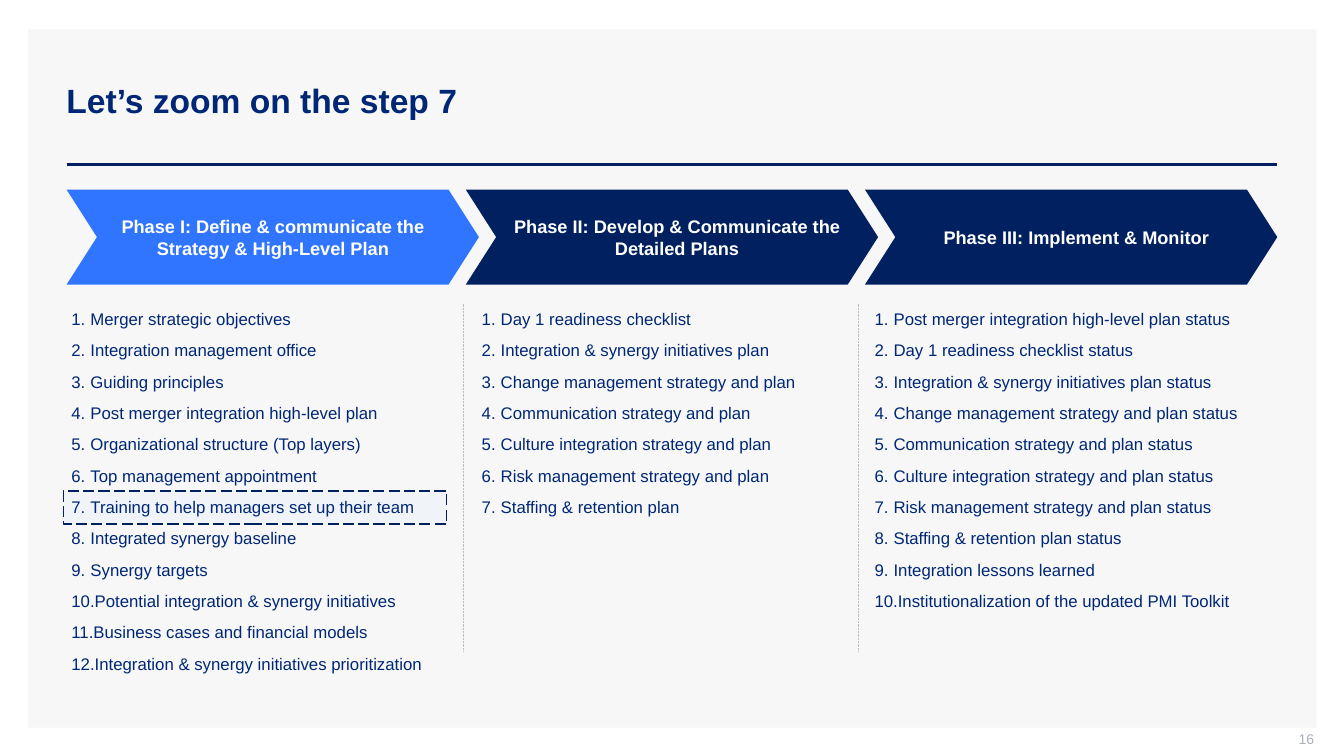
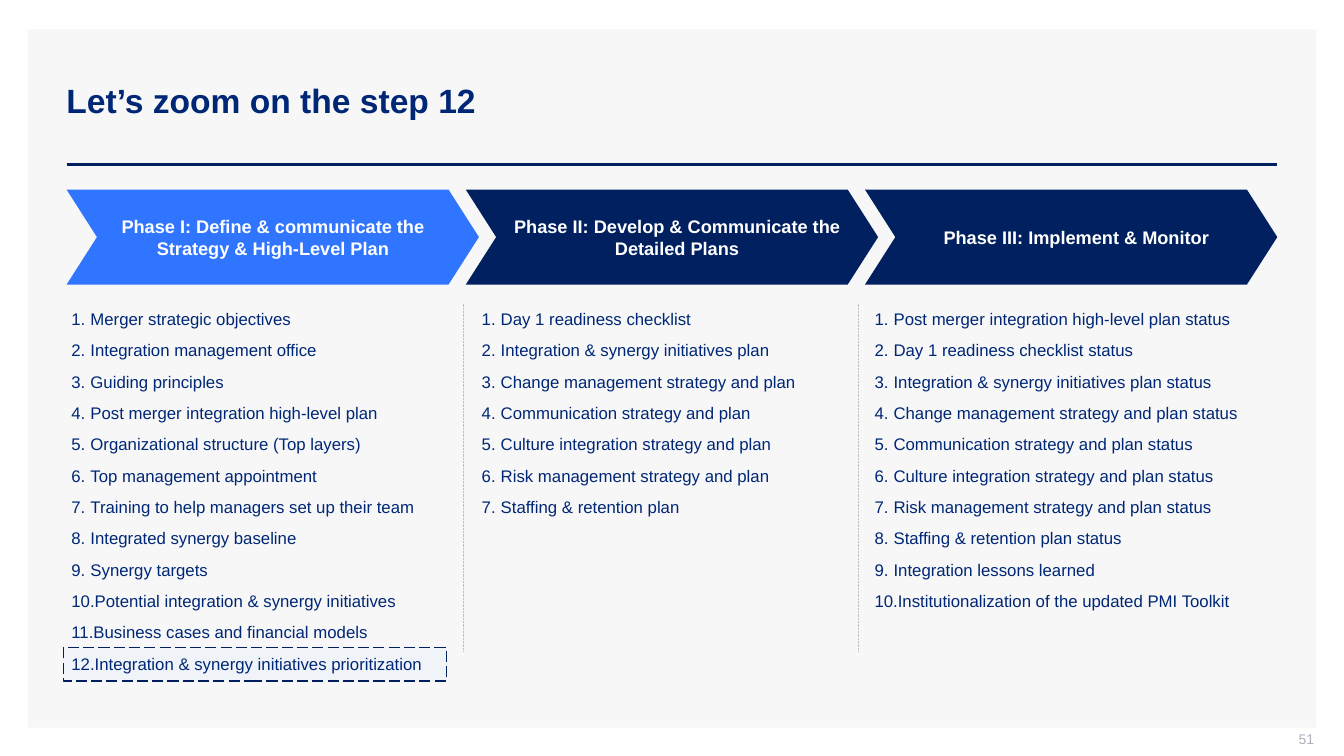
import pptx
import pptx.util
import pptx.dml.color
import pptx.enum.dml
import pptx.enum.shapes
import pptx.enum.text
import pptx.oxml
import pptx.oxml.ns

Cm = pptx.util.Cm
Pt = pptx.util.Pt
ALIGN = pptx.enum.text.PP_ALIGN
ANCHOR = pptx.enum.text.MSO_ANCHOR
FIT = pptx.enum.text.MSO_AUTO_SIZE
DASH = pptx.enum.dml.MSO_LINE
KIND = pptx.enum.shapes.MSO_SHAPE

NAVY, INK, BLUE = "002060", "002776", "3075FF"
PANEL, TINT, DOTS, GREY, WHITE = "F7F7F7", "D6E3FF", "BFBFBF", "ADAFBB", "FFFFFF"

LEFT, TOP, PITCH = 1.68, 7.65, 0.79

PHASES = [
    ("Phase I: Define & communicate the Strategy & High-Level Plan", BLUE, (0.1, 0.1)),
    ("Phase II: Develop & Communicate the Detailed Plans", NAVY, (0.25, 0)),
    ("Phase III: Implement & Monitor", NAVY, (0.25, 0)),
]

# left, width, left inset, steps
LISTS = [
    (1.8, 9.88, 0, [
        "Merger strategic objectives",
        "Integration management office",
        "Guiding principles",
        "Post merger integration high-level plan",
        "Organizational structure (Top layers)",
        "Top management appointment",
        "Training to help managers set up their team",
        "Integrated synergy baseline",
        "Synergy targets",
        "Potential integration & synergy initiatives",
        "Business cases and financial models",
        "Integration & synergy initiatives prioritization",
    ]),
    (11.89, 9.6, 0.25, [
        "Day 1 readiness checklist",
        "Integration & synergy initiatives plan",
        "Change management strategy and plan",
        "Communication strategy and plan",
        "Culture integration strategy and plan",
        "Risk management strategy and plan",
        "Staffing & retention plan",
    ]),
    (21.79, 10.39, 0.25, [
        "Post merger integration high-level plan status",
        "Day 1 readiness checklist status",
        "Integration & synergy initiatives plan status",
        "Change management strategy and plan status",
        "Communication strategy and plan status",
        "Culture integration strategy and plan status",
        "Risk management strategy and plan status",
        "Staffing & retention plan status",
        "Integration lessons learned",
        "Institutionalization of the updated PMI Toolkit",
    ]),
]


def tone(code):
    return pptx.dml.color.RGBColor.from_string(code)


def put(item, form):
    for key, value in form.items():
        setattr(item, key, value)


def node(tag, **attrs):
    part = pptx.oxml.parse_xml(f"<a:{tag} {pptx.oxml.ns.nsdecls('a')}/>")
    for key, value in attrs.items():
        part.set(key, value)
    return part


class Deck:
    """Holds the style and the slide being drawn."""

    title_font = {"size": Pt(24), "bold": True}
    phase_font = {"size": Pt(13), "bold": True}
    list_font = {"size": Pt(12)}
    page_font = {"size": Pt(10)}

    def __init__(self):
        self.file = pptx.Presentation()
        put(self.file, {"slide_width": Cm(33.87), "slide_height": Cm(19.05)})
        self.layout = self.file.slide_layouts[5]
        self.slide = None

    def start(self, title):
        first = self.slide is None
        self.slide = self.file.slides.add_slide(self.layout)
        if first:
            self.base()
        head = self.slide.shapes.title
        put(head, {"left": Cm(1.42), "top": Cm(1.02),
                   "width": Cm(30.76), "height": Cm(3.02)})
        self.text(head, [title], self.title_font, INK,
                  {"vertical_anchor": ANCHOR.MIDDLE, "auto_size": FIT.NONE},
                  {"alignment": ALIGN.LEFT})

    def base(self):
        """Draw the panel and the rule, then move them to the shared layout."""
        parts = [self.shape(KIND.RECTANGLE, 0.71, 0.74, 32.46, 17.6, PANEL),
                 self.line(LEFT, 4.14, 32.18, 4.14, NAVY, 2)]
        for spot, part in enumerate(parts, 2):
            self.layout.shapes.element.insert(spot, part.element)

    def text(self, shape, texts, font, color, frame, para):
        body = shape.text_frame
        put(body, {"word_wrap": True, **frame})
        for spot, words in enumerate(texts):
            line = body.add_paragraph() if spot else body.paragraphs[0]
            put(line, para)
            run = line.add_run()
            run.text = words
            put(run.font, {"name": "Arial", **font})
            run.font.color.rgb = tone(color)
        return body

    def shape(self, kind, x, y, w, h, color):
        item = self.slide.shapes.add_shape(kind, Cm(x), Cm(y), Cm(w), Cm(h))
        item.shadow.inherit = False
        item.fill.solid()
        item.fill.fore_color.rgb = tone(color)
        item.line.fill.background()
        return item

    def line(self, x, y, x2, y2, color, width, dash=None):
        item = self.slide.shapes.add_connector(
            pptx.enum.shapes.MSO_CONNECTOR.STRAIGHT, Cm(x), Cm(y), Cm(x2), Cm(y2))
        item.line.color.rgb = tone(color)
        put(item.line, {"width": Pt(width), "dash_style": dash})
        item.element.spPr.append(node("effectLst"))
        return item

    def mark(self, step):
        """Frame one step of the first list."""
        box = self.shape(KIND.RECTANGLE, 1.6, 6.84 + PITCH * step, 9.65, 0.84, TINT)
        fill = box.element.spPr.find(".//" + pptx.oxml.ns.qn("a:srgbClr"))
        fill.append(node("alpha", val="20000"))
        box.line.color.rgb = tone(NAVY)
        put(box.line, {"width": Pt(1), "dash_style": DASH.LONG_DASH})

    def phase(self, spot, words, color, sides):
        arrow = self.shape(KIND.CHEVRON, LEFT + 10.06 * spot, 4.78, 10.39, 2.39, color)
        arrow.adjustments[0] = 0.32
        self.text(arrow, [words], self.phase_font, WHITE,
                  {"vertical_anchor": ANCHOR.MIDDLE,
                   "margin_left": Cm(sides[0]), "margin_right": Cm(sides[1])},
                  {"alignment": ALIGN.CENTER,
                   "space_before": Pt(6), "space_after": Pt(6)})

    def box(self, x, y, w, h):
        return self.slide.shapes.add_textbox(Cm(x), Cm(y), Cm(w), Cm(h))

    def steps(self, x, width, inset, texts):
        area = self.box(x, TOP, width, 0.8 * len(texts))
        body = self.text(area, texts, self.list_font, INK,
                         {"margin_left": Cm(inset),
                          "auto_size": FIT.SHAPE_TO_FIT_TEXT},
                         {"space_before": Pt(4), "space_after": Pt(4)})
        for line in body.paragraphs:
            props = line._p.get_or_add_pPr()
            props.set("marL", str(Cm(0.48)))
            props.set("indent", str(-Cm(0.48)))
            props.append(node("buFont", typeface="+mj-lt"))
            props.append(node("buAutoNum", type="arabicPeriod"))

    def page(self, number):
        self.text(self.box(25.5, 18.42, 7.62, 0.53), [str(number)],
                  self.page_font, GREY,
                  {"vertical_anchor": ANCHOR.MIDDLE,
                   "margin_top": 0, "margin_right": 0},
                  {"alignment": ALIGN.RIGHT})


def main():
    deck = Deck()
    for step, number in ((7, 16), (12, 51)):
        deck.start(f"Let’s zoom on the step {step}")
        deck.mark(step)
        deck.page(number)
        for spot, phase in enumerate(PHASES):
            deck.phase(spot, *phase)
        for x in (11.68, 21.64):
            deck.line(x, TOP, x, 16.43, DOTS, 0.5, DASH.ROUND_DOT)
        for group in LISTS:
            deck.steps(*group)
    deck.file.save("out.pptx")


if __name__ == "__main__":
    main()
